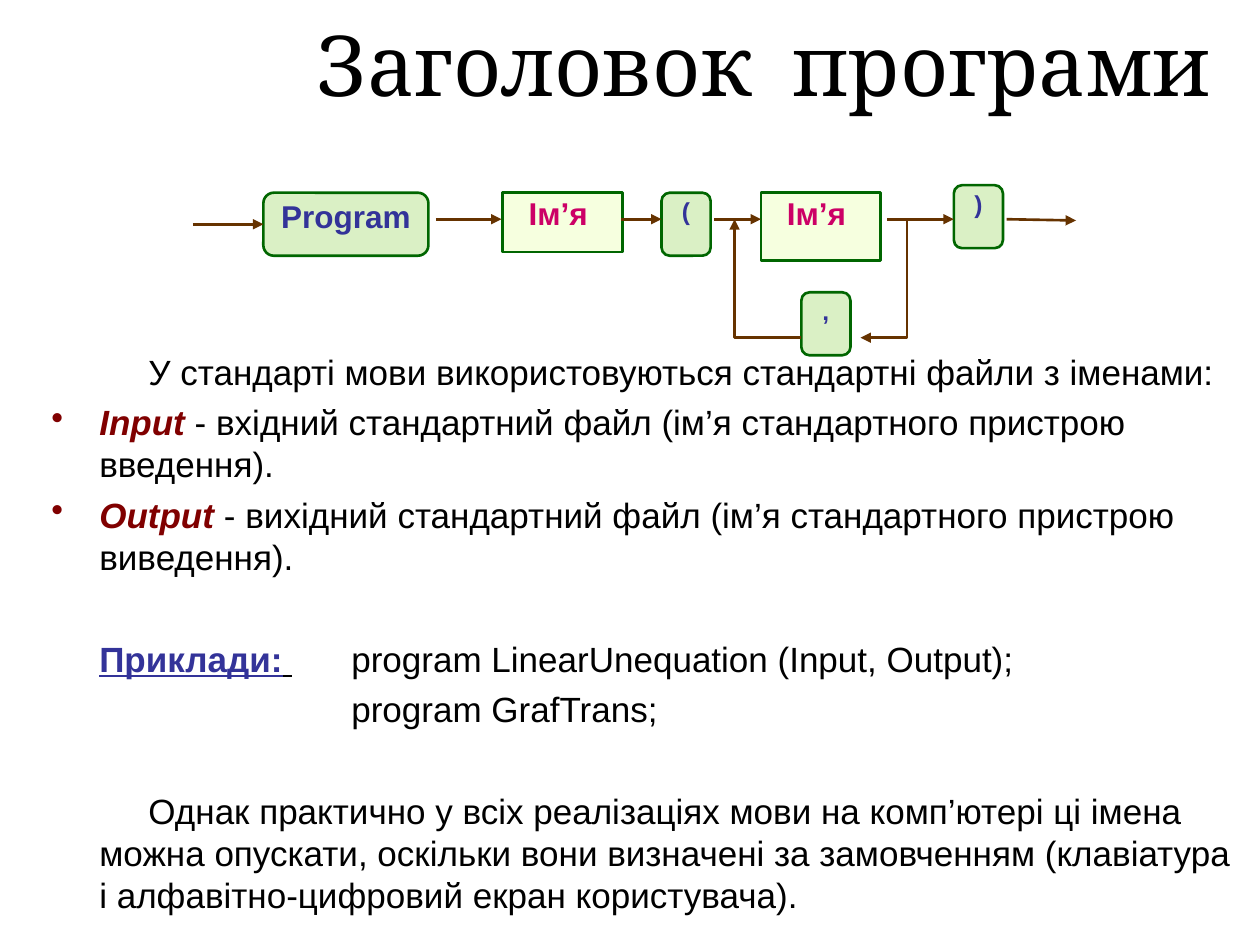
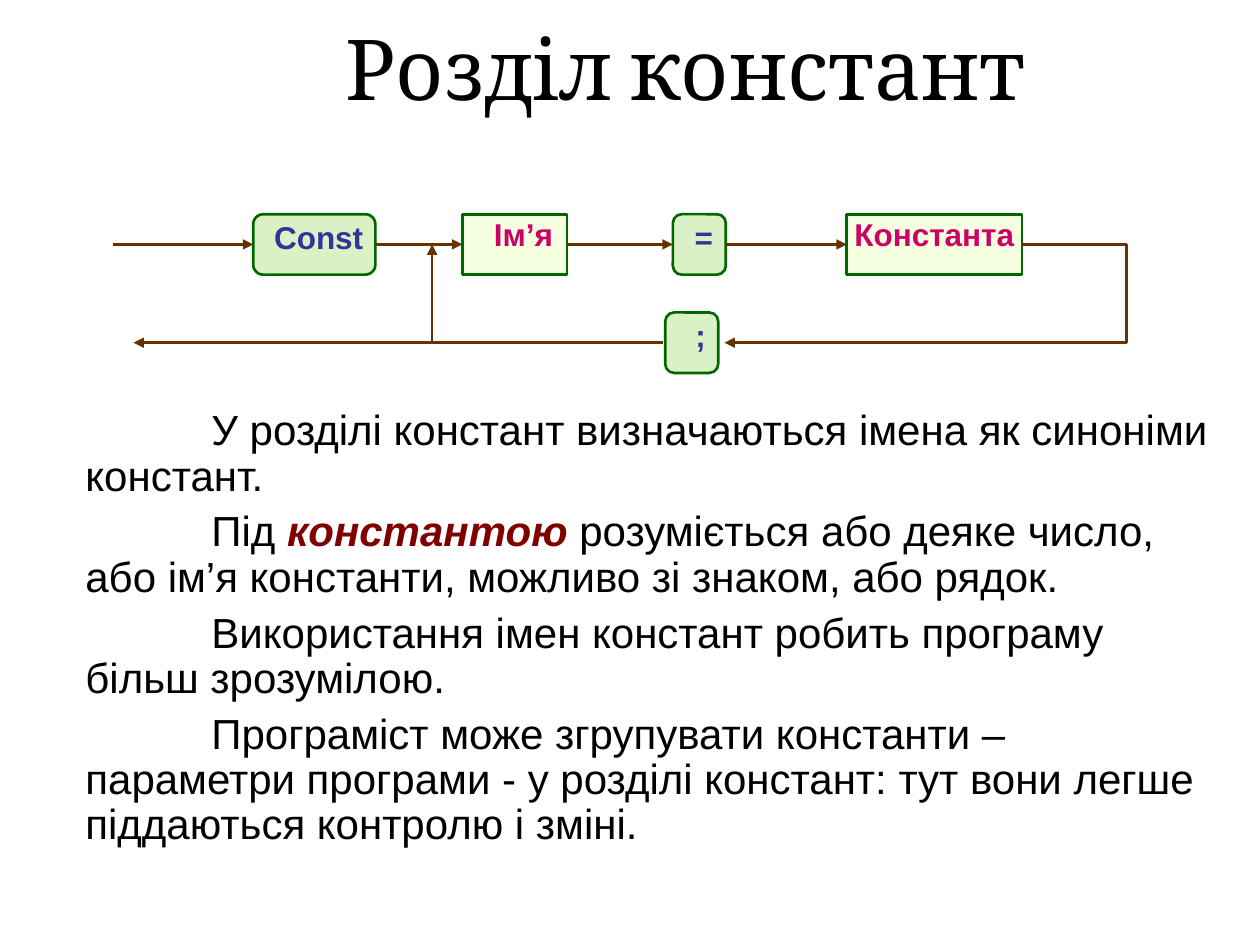
from lxml.etree import SubElement
from pptx import Presentation
from pptx.dml.color import RGBColor
from pptx.enum.shapes import MSO_CONNECTOR, MSO_SHAPE
from pptx.enum.text import MSO_ANCHOR, PP_ALIGN
from pptx.oxml.ns import qn
from pptx.util import Inches, Pt

BLACK = RGBColor(0x00, 0x00, 0x00)
MAROON = RGBColor(0x80, 0x00, 0x00)
NAVY = RGBColor(0x33, 0x33, 0x99)
PINK = RGBColor(0xCC, 0x00, 0x66)
LIME = RGBColor(0xB6, 0xE3, 0x8D)
CREAM = RGBColor(0xEF, 0xFF, 0xC1)
GREEN = RGBColor(0x00, 0x66, 0x00)
BROWN = RGBColor(0x66, 0x33, 0x00)

LEFT, RIGHT = 1, 3
HANG = 0.38


class Deck:
    def __init__(self):
        self.file = Presentation()
        self.file.slide_width = Inches(10)
        self.file.slide_height = Inches(7.5)
        self.slide = None

    def new(self):
        self.slide = self.file.slides.add_slide(self.file.slide_layouts[6])

    def style(self, run, size, color=BLACK, font="Arial", bold=False, slant=False, line=False):
        run.font.name = font
        run.font.size = Pt(size)
        run.font.color.rgb = color
        run.font.bold = bold
        run.font.italic = slant
        run.font.underline = line

    def frame(self, left, top, width, height):
        box = self.slide.shapes.add_textbox(*map(Inches, (left, top, width, height)))
        box.text_frame.word_wrap = True
        return box.text_frame

    def title(self, words, left, top, height, gap=0):
        frame = self.frame(left, top, 7.32, height)
        frame.vertical_anchor = MSO_ANCHOR.MIDDLE
        para = frame.paragraphs[0]
        para.alignment = PP_ALIGN.CENTER
        first, last = words.split()
        for text in (first, " ", last):
            run = para.add_run()
            run.text = text
            self.style(run, 48, font="Cambria")
            if text == " " and gap:
                run.font._element.set("spc", str(gap * 100))

    def body(self, rect, size, paras, before, lead=1.0):
        frame = self.frame(*rect)
        for i, (runs, look) in enumerate(paras):
            para = frame.add_paragraph() if i else frame.paragraphs[0]
            props = para._p.get_or_add_pPr()
            props.set("marL", str(Inches(look.get("left", HANG))))
            props.set("indent", str(Inches(look.get("first", 0))))
            if look.get("dot"):
                color = SubElement(props, qn("a:buClr"))
                SubElement(color, qn("a:srgbClr"), val=str(MAROON))
                SubElement(props, qn("a:buChar"), char="•")
            if "tab" in look:
                tabs = SubElement(props, qn("a:tabLst"))
                SubElement(tabs, qn("a:tab"), pos=str(Inches(look["tab"])), algn="l")
            para.line_spacing = lead
            para.space_before = Pt(look.get("before", before) if i else 0)
            for text, font in runs:
                run = para.add_run()
                run.text = text
                self.style(run, size, **font)

    def node(self, kind, text, rect, fill, color, size, shift):
        box = self.slide.shapes.add_shape(kind, *map(Inches, rect))
        box.shadow.inherit = False
        box.fill.solid()
        box.fill.fore_color.rgb = fill
        tint = box.fill._xPr.find(".//" + qn("a:srgbClr"))
        SubElement(tint, qn("a:alpha"), val="50000")
        box.line.color.rgb = GREEN
        box.line.width = Pt(1.5)
        frame = box.text_frame
        frame.margin_left = Inches(0.01 + max(shift, 0))
        frame.margin_right = Inches(0.01 + max(-shift, 0))
        frame.margin_top = frame.margin_bottom = Inches(0.01)
        frame.vertical_anchor = MSO_ANCHOR.TOP
        frame.word_wrap = True
        para = frame.paragraphs[0]
        para.text = text
        para.alignment = PP_ALIGN.CENTER
        self.style(para.runs[0], size, color, bold=True)
        return box

    def token(self, text, rect, size=18, shift=0):
        return self.node(MSO_SHAPE.ROUNDED_RECTANGLE, text, rect, LIME, NAVY, size, shift)

    def term(self, text, rect, shift=0):
        return self.node(MSO_SHAPE.RECTANGLE, text, rect, CREAM, PINK, 18, shift)

    def ink(self, line):
        line.color.rgb = BROWN
        line.width = Pt(1.5)
        SubElement(line._get_or_add_ln(), qn("a:tailEnd"), type="triangle")

    def arrow(self, start, end, source=None, target=None):
        wire = self.slide.shapes.add_connector(
            MSO_CONNECTOR.STRAIGHT, *map(Inches, start + end))
        self.ink(wire.line)
        SubElement(wire._element.spPr, qn("a:effectLst"))
        if source is not None:
            wire.begin_connect(source, RIGHT)
        if target is not None:
            wire.end_connect(target, LEFT)

    def bend(self, *points):
        spots = [(Inches(x), Inches(y)) for x, y in points]
        path = self.slide.shapes.build_freeform(*spots[0])
        path.add_line_segments(spots[1:], close=False)
        shape = path.convert_to_shape()
        shape.shadow.inherit = False
        shape.fill.background()
        self.ink(shape.line)


def header(deck):
    deck.new()
    deck.title("Заголовок програми", 2.4, 0, 1, gap=12)
    key = dict(color=MAROON, bold=True, slant=True)
    dot = dict(first=-HANG, dot=True)
    deck.body((0.31, 2.73, 9.69, 4.57), 20, [
        ([("У стандарті мови використовуються стандартні файли з іменами:", {})],
         dict(first=0.39)),
        ([("Input", key),
          (" - вхідний стандартний файл (ім’я стандартного пристрою введення).", {})], dot),
        ([("Output ", key),
          ("- вихідний стандартний файл (ім’я стандартного пристрою виведення).", {})], dot),
        ([("Приклади:", dict(color=NAVY, bold=True, line=True)),
          (" ", dict(bold=True, line=True)),
          ("\tprogram LinearUnequation (Input, Output);", {})], dict(tab=2, before=34)),
        ([("program GrafTrans;", {})], dict(left=HANG + 2)),
        ([("Однак практично у всіх реалізаціях мови на комп’ютері ці імена можна "
           "опускати, оскільки вони визначені за замовченням (клавіатура і "
           "алфавітно-цифровий екран користувача).", {})], dict(first=0.39, before=34)),
    ], before=5)
    start = deck.token("Program", (2.09, 1.53, 1.31, 0.5))
    for left, height in ((3.99, 0.47), (6.04, 0.54)):
        deck.term("Ім’я", (left, 1.53, 0.95, height), shift=-0.07)
    for text, left, top in (("(", 5.25, 1.53), (")", 7.57, 1.47), (",", 6.36, 2.32)):
        deck.token(text, (left, top, 0.39, 0.5), size=14)
    deck.arrow((1.53, 1.78), (2.09, 1.78), target=start)
    row = 1.74
    for left, right in ((3.46, 3.98), (4.93, 5.25), (5.67, 6.04), (7.04, 7.57)):
        deck.arrow((left, row), (right, row))
    deck.arrow((7.99, row), (8.54, 1.75))
    deck.bend((7.2, row), (7.2, 2.68), (6.83, 2.68))
    deck.bend((6.36, 2.68), (5.83, 2.68), (5.83, row))


def consts(deck):
    deck.new()
    deck.title("Розділ констант", 1.78, 0, 1.07)
    key = dict(color=MAROON, bold=True, slant=True)
    paras = [
        [("У розділі констант визначаються імена як синоніми констант.", {})],
        [("Під ", {}), ("константою", key),
         (" розуміється або деяке число, або ім’я константи, можливо зі знаком, "
          "або рядок.", {})],
        [("Використання імен констант робить програму більш зрозумілою.", {})],
        [("Програміст може згрупувати константи – параметри програми - у розділі "
          "констант: тут вони легше піддаються контролю і зміні.", {})],
    ]
    deck.body((0.2, 3.2, 9.5, 3.74), 24,
              [(runs, dict(first=1)) for runs in paras], before=6, lead=0.9)
    top, tall = 1.7, 0.48
    row, back = top + tall / 2, 2.72
    chain = [
        deck.token("Const", (2.01, top, 0.97, tall), shift=0.07),
        deck.term("Ім’я", (3.67, top, 0.83, tall), shift=0.14),
        deck.token("=", (5.34, top, 0.42, tall), shift=0.07),
        deck.term("Константа", (6.72, top, 1.39, tall)),
    ]
    deck.token(";", (5.28, 2.48, 0.42, tall), shift=0.14)
    deck.arrow((0.9, row), (2.01, row), target=chain[0])
    for source, target in zip(chain, chain[1:]):
        deck.arrow((0, row), (1, row), source, target)
    deck.bend((8.11, row), (8.94, row), (8.94, back), (5.75, back))
    deck.bend((5.26, back), (3.43, back), (3.43, row))
    deck.arrow((3.43, back), (1.06, back))


def main():
    deck = Deck()
    header(deck)
    consts(deck)
    deck.file.save("out.pptx")


if __name__ == "__main__":
    main()
